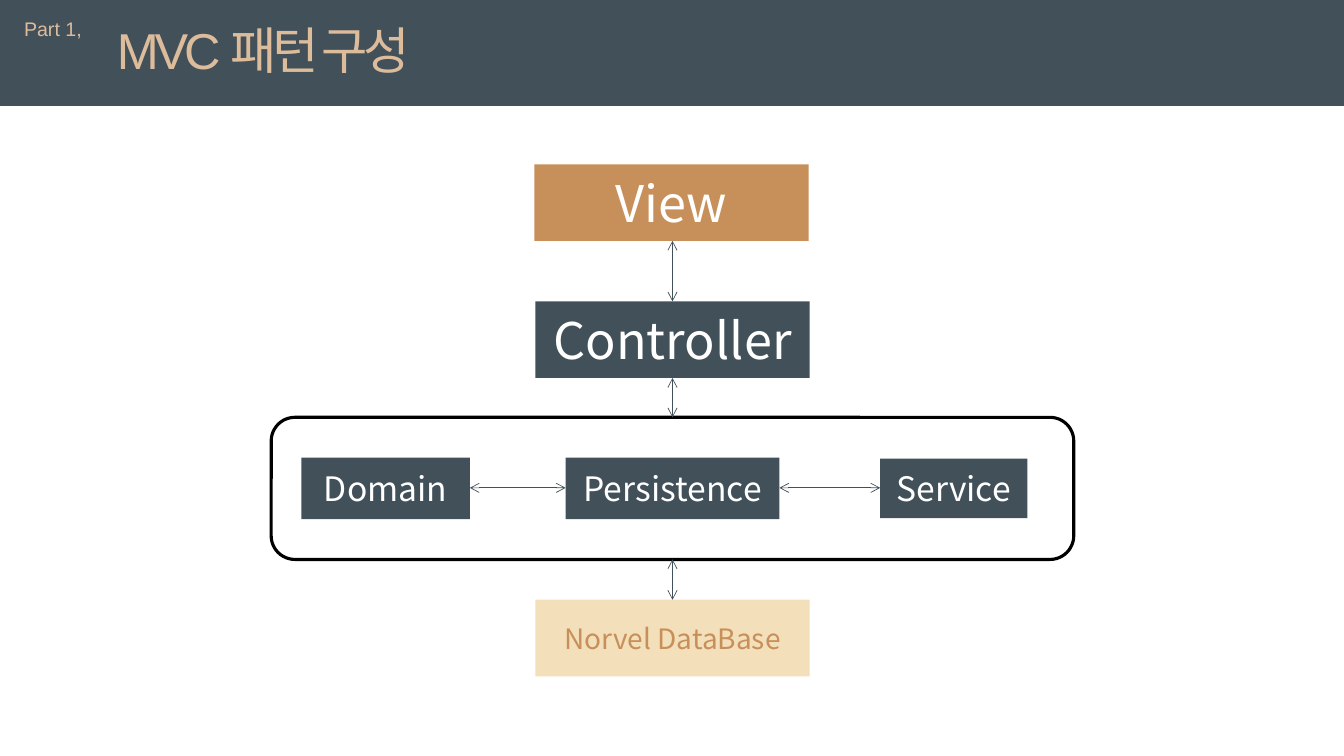
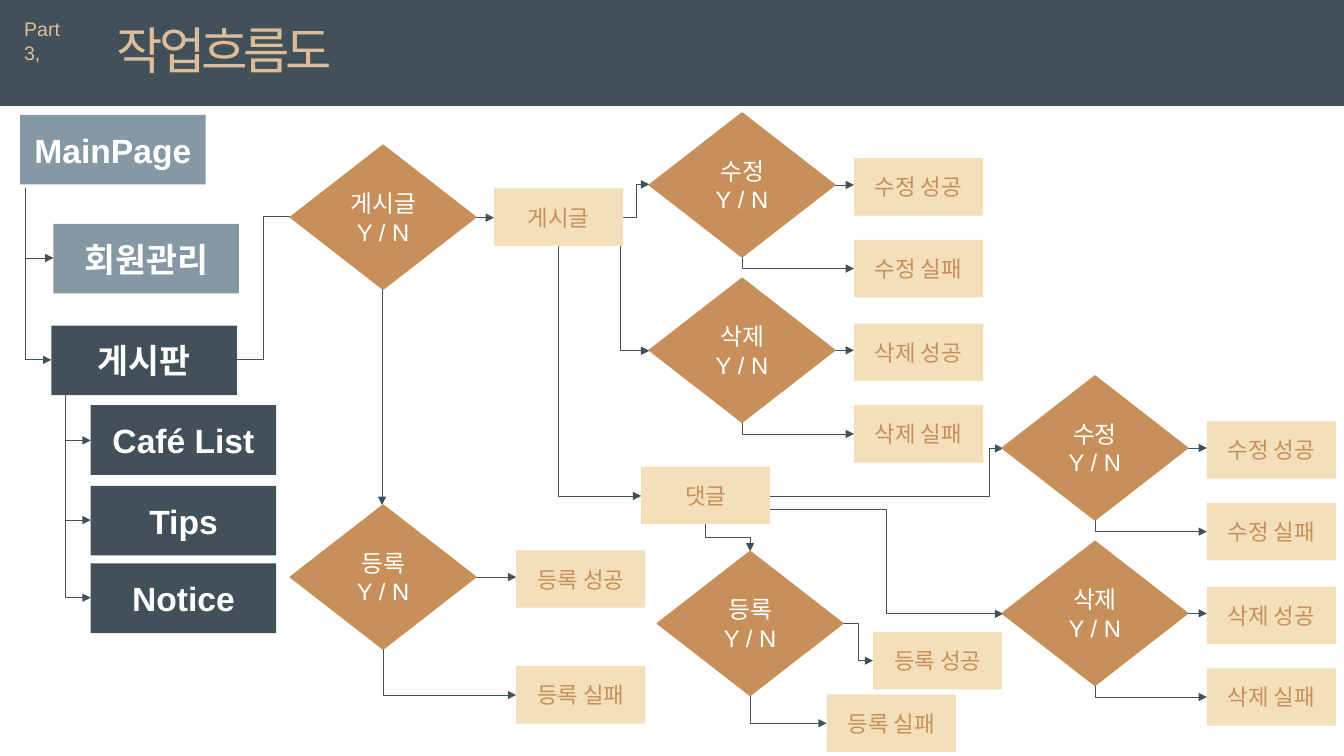
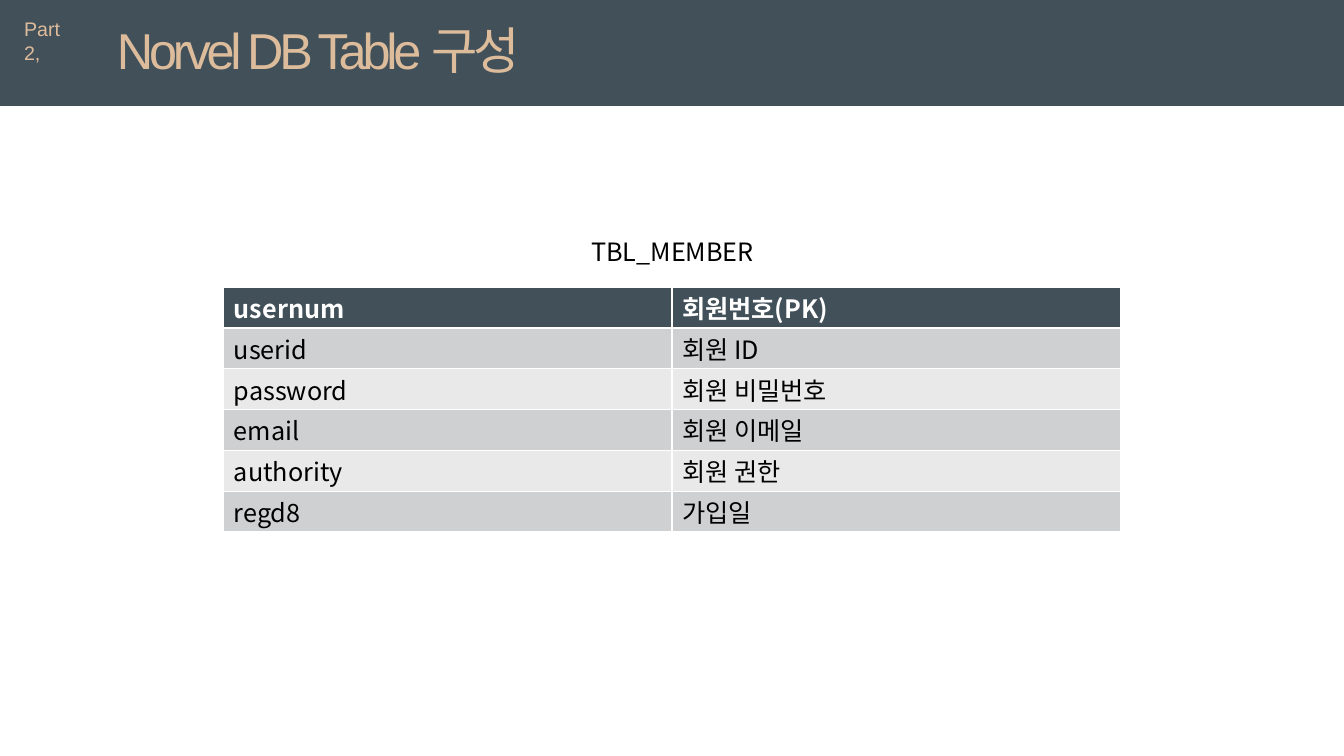
from dataclasses import dataclass

from lxml import etree
from pptx import Presentation
from pptx.dml.color import RGBColor
from pptx.enum.shapes import MSO_CONNECTOR, MSO_SHAPE
from pptx.enum.text import MSO_ANCHOR, MSO_AUTO_SIZE, PP_ALIGN
from pptx.oxml.ns import qn
from pptx.util import Inches, Pt

RECT, ROUND_RECT, DIAMOND = MSO_SHAPE.RECTANGLE, MSO_SHAPE.ROUNDED_RECTANGLE, MSO_SHAPE.DIAMOND
STRAIGHT, ELBOW = MSO_CONNECTOR.STRAIGHT, MSO_CONNECTOR.ELBOW
LEFT, CENTER = PP_ALIGN.LEFT, PP_ALIGN.CENTER
TOP, MIDDLE = MSO_ANCHOR.TOP, MSO_ANCHOR.MIDDLE
NO_AUTOFIT = MSO_AUTO_SIZE.NONE
TITLE_ONLY = 5


@dataclass(frozen=True)
class Theme:
    slate: str = "425059"
    mist: str = "8598A4"
    copper: str = "C7905A"
    cream: str = "F3DFBA"
    sand: str = "DDBC9C"
    white: str = "FFFFFF"
    black: str = "000000"
    row_dark: str = "CFD0D1"
    row_light: str = "E9E9EA"
    sans: str = "Arial"
    korean: str = "Noto Sans CJK KR"
    title: int = 36
    big: int = 36
    medium: int = 24
    database: int = 20
    body: int = 18
    decision: int = 17
    outcome: int = 16
    chapter: int = 14
    title_spacing: int = -300
    line: float = 0.5


THEME = Theme()

# Sizes of the flow chart elements, in inches
MENU_SIZE = (1.84, 0.69)
DIAMOND_SIZE = (1.84, 1.43)
OUTCOME_SIZE = (1.28, 0.57)
TURN_AT_START = 0.003


def color(value):
    return RGBColor.from_string(value)


# Text
def style_paragraph(para, size, ink, font=THEME.sans, bold=False, align=LEFT):
    para.alignment = align
    para.font.size = Pt(size)
    para.font.bold = bold
    para.font.color.rgb = color(ink)
    para.font.name = font
    defaults = para._p.pPr.find(qn("a:defRPr"))
    etree.SubElement(defaults, qn("a:ea"), typeface=THEME.korean)


def write(frame, text, size, ink, anchor=TOP, **style):
    frame.word_wrap = True
    frame.auto_size = NO_AUTOFIT
    frame.vertical_anchor = anchor
    frame.text = text
    for para in frame.paragraphs:
        style_paragraph(para, size, ink, **style)


def add_label(page, area, text, size, ink, **style):
    box = page.shapes.add_textbox(*map(Inches, area))
    write(box.text_frame, text, size, ink, **style)


# Shapes
def add_box(page, area, fill=None, outline=None, weight=1, kind=RECT):
    box = page.shapes.add_shape(kind, *map(Inches, area))
    box.shadow.inherit = False
    if fill:
        box.fill.solid()
        box.fill.fore_color.rgb = color(fill)
    else:
        box.fill.background()
    if outline:
        box.line.color.rgb = color(outline)
        box.line.width = Pt(weight)
    else:
        box.line.fill.background()
    return box


def add_text_box(page, area, text, fill, ink, size, font=THEME.sans, bold=False):
    box = add_box(page, area, fill)
    write(box.text_frame, text, size, ink, anchor=MIDDLE, font=font, bold=bold, align=CENTER)


def add_menu(page, left, top, text, fill=THEME.slate):
    add_text_box(page, (left, top, *MENU_SIZE), text, fill, THEME.white, THEME.medium, bold=True)


def add_outcome(page, left, top, text):
    add_text_box(page, (left, top, *OUTCOME_SIZE), text, THEME.cream, THEME.copper, THEME.outcome)


def add_diamond(page, left, top, text):
    box = add_box(page, (left, top, *DIAMOND_SIZE), THEME.copper, THEME.copper, kind=DIAMOND)
    write(box.text_frame, f"{text}\nY / N", THEME.decision, THEME.white,
          anchor=MIDDLE, align=CENTER)


# Connectors
def connect(page, start, end, bend=None, head=None, tail="triangle"):
    """Straight line, or an elbow that turns at the share of its width given by bend."""
    kind = STRAIGHT if bend is None else ELBOW
    link = page.shapes.add_connector(kind, *map(Inches, (*start, *end)))
    link.line.color.rgb = color(THEME.slate)
    link.line.width = Pt(THEME.line)
    properties = link._element.spPr
    line = properties.find(qn("a:ln"))
    for tag, arrow in (("a:headEnd", head), ("a:tailEnd", tail)):
        if arrow:
            etree.SubElement(line, qn(tag), type=arrow)
    etree.SubElement(properties, qn("a:effectLst"))
    if bend is not None:
        geometry = properties.find(qn("a:prstGeom"))
        for old in geometry.findall(qn("a:avLst")):
            geometry.remove(old)
        values = etree.SubElement(geometry, qn("a:avLst"))
        etree.SubElement(values, qn("a:gd"), name="adj1", fmla=f"val {round(bend * 100000)}")
    return link


def connect_down(page, start, end):
    """Elbow that leaves and arrives vertically, made by a quarter turn about its centre."""
    (x0, y0), (x1, y1) = start, end
    middle_x, middle_y = (x0 + x1) / 2, (y0 + y1) / 2
    half_width, half_height = (y1 - y0) / 2, (x1 - x0) / 2
    link = connect(page, (middle_x + half_width, middle_y - half_height),
                   (middle_x - half_width, middle_y + half_height), bend=0.5)
    link._element.spPr.find(qn("a:xfrm")).set("rot", str(270 * 60000))


def add_decision(page, left, top, action, success, failure):
    """Diamond with arrows to its success and failure boxes."""
    width, height = DIAMOND_SIZE
    half_box = OUTCOME_SIZE[1] / 2
    level = top + height / 2
    success_level = success[1] + half_box
    if abs(success_level - level) < 0.05:
        connect(page, (left + width, level), (success[0], level))
    else:
        connect(page, (left + width, level), (success[0], success_level), bend=0.5)
    connect(page, (left + width / 2, top + height), (failure[0], failure[1] + half_box),
            bend=TURN_AT_START)
    add_diamond(page, left, top, action)
    add_outcome(page, *success, f"{action} 성공")
    add_outcome(page, *failure, f"{action} 실패")


# Shared page frame
def add_page(deck, chapter, title, title_width=4.5, chapter_width=0.75):
    page = deck.slides.add_slide(deck.slide_layouts[TITLE_ONLY])
    band = add_box(page, (0, 0, 13.33, 1.05), THEME.slate)
    heading = page.shapes.title
    heading._element.addprevious(band._element)
    heading.left, heading.top = Inches(1.06), Inches(0.14)
    heading.width, heading.height = Inches(title_width), Inches(0.71)
    write(heading.text_frame, title, THEME.title, THEME.sand)
    for span in heading.text_frame.paragraphs[0].runs:
        span._r.get_or_add_rPr().set("spc", str(THEME.title_spacing))
    add_label(page, (0.14, 0.12, chapter_width, 0.34), chapter, THEME.chapter, THEME.sand)
    return page


# Pages
def build_pattern(deck):
    page = add_page(deck, "Part 1,", "MVC 패턴 구성", chapter_width=0.8)
    white, slate = THEME.white, THEME.slate
    boxes = (
        ((5.3, 1.63, 2.72, 0.76), "View", THEME.copper, white, THEME.big),
        ((5.31, 2.99, 2.72, 0.76), "Controller", slate, white, THEME.big),
        ((2.99, 4.54, 1.67, 0.61), "Domain", slate, white, THEME.medium),
        ((5.61, 4.54, 2.12, 0.61), "Persistence", slate, white, THEME.medium),
        ((8.73, 4.55, 1.46, 0.59), "Service", slate, white, THEME.medium),
        ((5.31, 5.95, 2.72, 0.76), "Norvel DataBase", THEME.cream, THEME.copper, THEME.database),
    )
    for box in boxes:
        add_text_box(page, *box, font=THEME.korean)
    add_box(page, (2.69, 4.14, 7.96, 1.41), outline=THEME.black, weight=2.25, kind=ROUND_RECT)
    for top, bottom in ((2.39, 2.99), (3.75, 4.14), (5.55, 5.95)):
        connect(page, (6.67, top), (6.67, bottom), head="arrow", tail="arrow")
    for left, right in ((4.66, 5.61), (7.73, 8.73)):
        connect(page, (left, 4.84), (right, 4.84), head="arrow", tail="arrow")


def build_workflow(deck):
    page = add_page(deck, "Part 3,", "작업흐름도")

    # Menu tree
    connect(page, (0.25, 1.87), (0.51, 3.57), bend=TURN_AT_START)
    connect(page, (0.25, 2.56), (0.53, 2.56))
    connect(page, (0.65, 3.92), (0.9, 5.93), bend=TURN_AT_START)
    for level in (4.37, 5.16):
        connect(page, (0.65, level), (0.9, level))
    add_menu(page, 0.2, 1.14, "MainPage", THEME.mist)
    add_menu(page, 0.53, 2.22, "회원관리", THEME.mist)
    add_menu(page, 0.51, 3.23, "게시판")
    for top, text in ((4.02, "Café List"), (4.82, "Tips"), (5.59, "Notice")):
        add_menu(page, 0.9, top, text)

    # Links between the steps
    connect(page, (2.35, 3.57), (2.88, 2.15), bend=0.5, tail=None)
    connect(page, (3.79, 2.87), (3.79, 5.01))
    connect(page, (4.71, 2.16), (4.9, 2.16))
    connect(page, (6.18, 2.16), (6.44, 1.83), bend=0.5)
    connect(page, (6.15, 2.36), (6.44, 3.48), bend=TURN_AT_START)
    connect(page, (5.54, 2.44), (6.36, 4.92), bend=TURN_AT_START)
    connect(page, (7.64, 4.92), (9.95, 4.45), bend=0.94)
    connect(page, (7.64, 5.05), (9.95, 6.09), bend=0.5)
    connect_down(page, (7, 5.2), (7.44, 5.47))

    # Posts and comments
    add_diamond(page, 2.88, 1.44, "게시글")
    add_outcome(page, 4.9, 1.87, "게시글")
    add_outcome(page, 6.36, 4.63, "댓글")
    add_decision(page, 2.88, 5.01, "등록", (5.12, 5.46), (5.12, 6.61))
    add_decision(page, 6.52, 5.47, "등록", (8.66, 6.27), (8.2, 6.89))
    for left, first_top in ((6.44, 1.12), (9.94, 3.73)):
        for row, action in enumerate(("수정", "삭제")):
            top = first_top + row * 1.64
            add_decision(page, left, top, action,
                         (left + 2.03, top + 0.45), (left + 2.03, top + 1.26))


def build_member_table(deck):
    page = add_page(deck, "Part 2,", "Norvel DB Table 구성", title_width=5.26)
    add_label(page, (4.03, 2.3, 5.28, 0.4), "TBL_MEMBER", THEME.body, THEME.black,
              font=THEME.korean, align=CENTER)
    rows = (
        ("usernum", "회원번호(PK)"),
        ("userid", "회원 ID"),
        ("password", "회원 비밀번호"),
        ("email", "회원 이메일"),
        ("authority", "회원 권한"),
        ("regd8", "가입일"),
    )
    area = map(Inches, (2.22, 2.85, 8.89, 2.43))
    table = page.shapes.add_table(len(rows), 2, *area).table
    for row, texts in enumerate(rows):
        header = row == 0
        band = THEME.row_dark if row % 2 else THEME.row_light
        for column, text in enumerate(texts):
            cell = table.cell(row, column)
            cell.fill.solid()
            cell.fill.fore_color.rgb = color(THEME.slate if header else band)
            cell.margin_top, cell.margin_bottom = Inches(0.02), 0
            cell.text = text
            style_paragraph(cell.text_frame.paragraphs[0], THEME.body,
                            THEME.white if header else THEME.black,
                            font=THEME.korean, bold=header)


def main():
    deck = Presentation()
    deck.slide_width, deck.slide_height = Inches(13.33), Inches(7.5)
    build_pattern(deck)
    build_workflow(deck)
    build_member_table(deck)
    deck.save("out.pptx")


if __name__ == "__main__":
    main()
